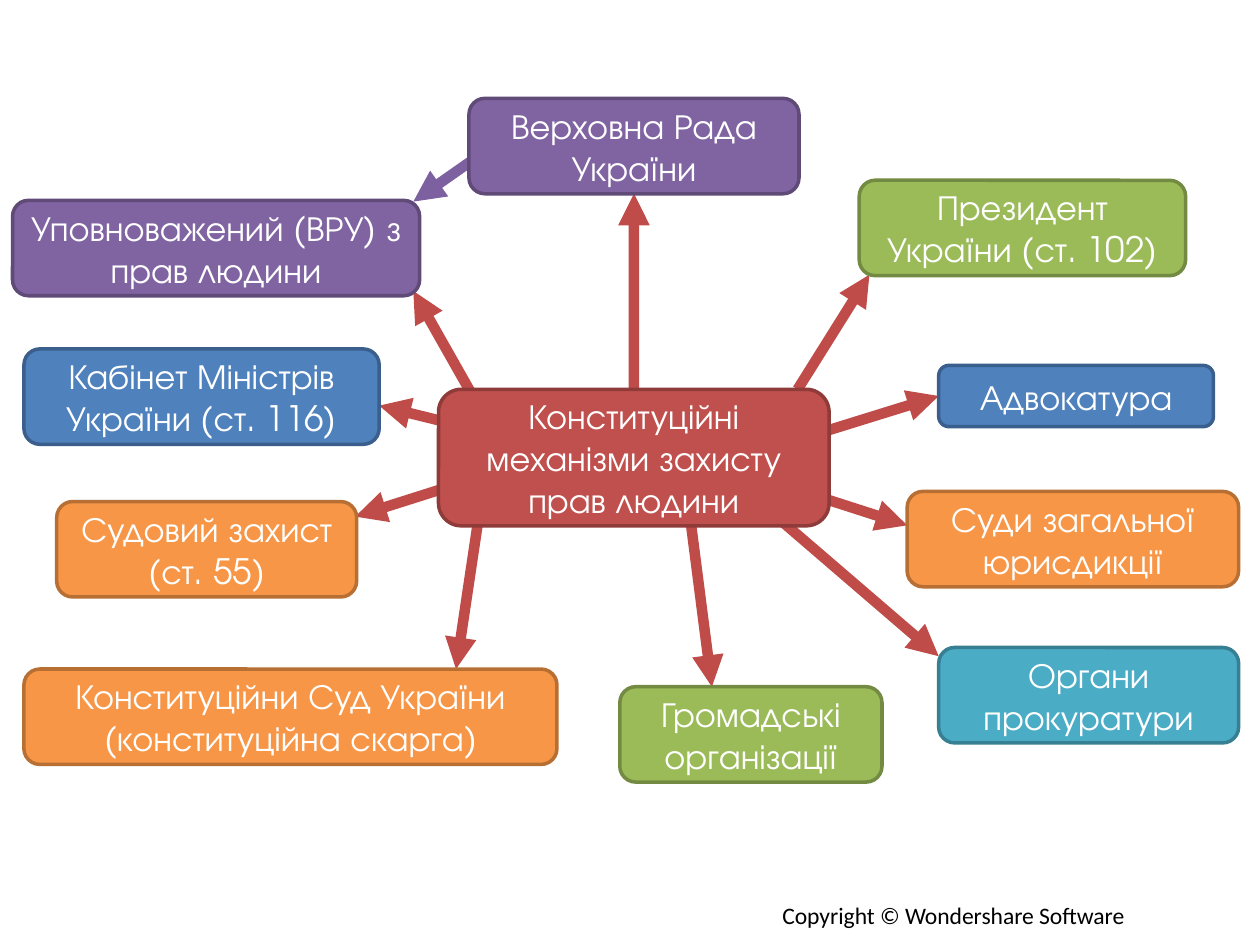
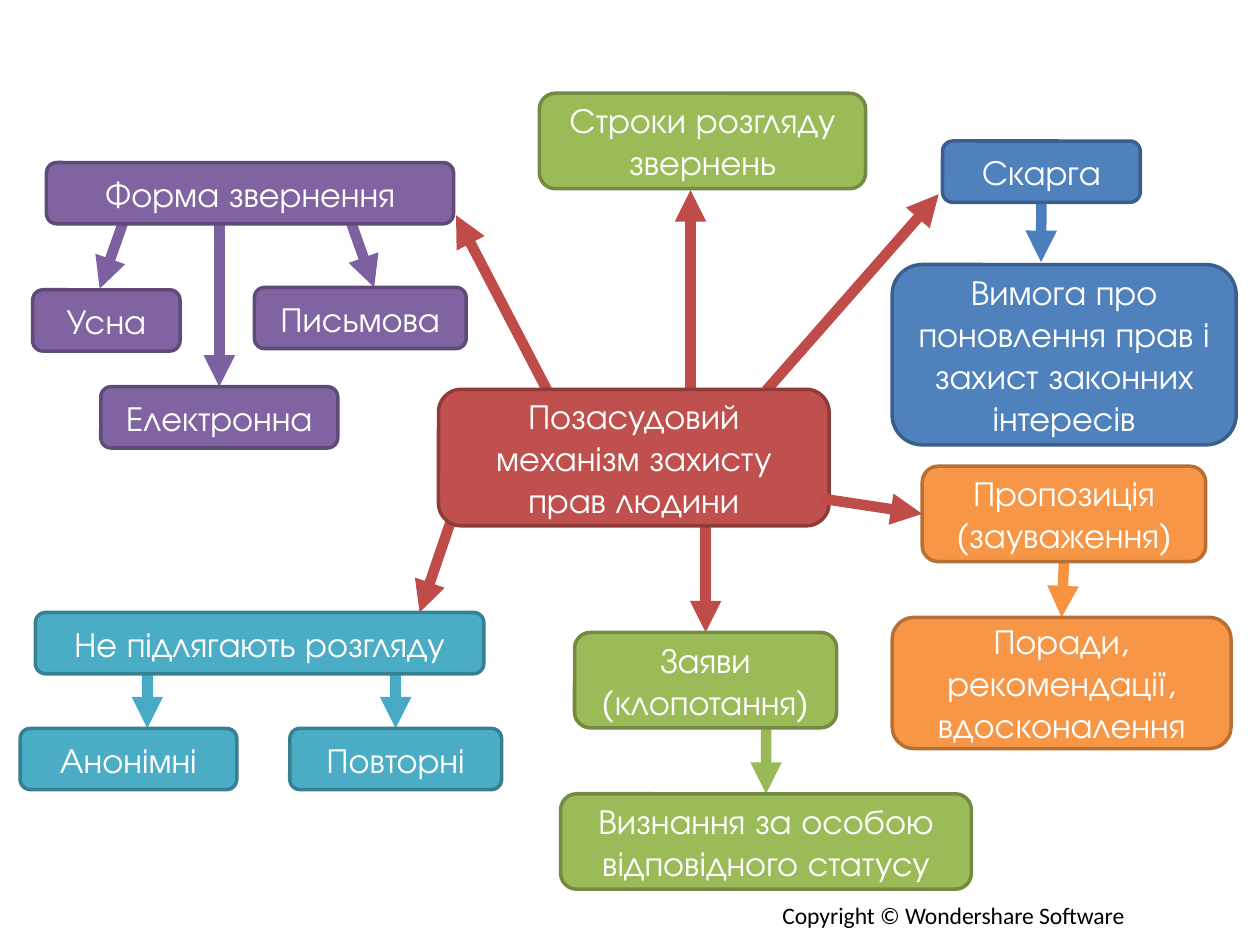
from dataclasses import dataclass

from lxml import etree
from pptx import Presentation
from pptx.dml.color import RGBColor
from pptx.enum.shapes import MSO_CONNECTOR, MSO_SHAPE
from pptx.enum.text import MSO_ANCHOR, PP_ALIGN
from pptx.oxml.ns import qn
from pptx.util import Pt

ROUNDED = MSO_SHAPE.ROUNDED_RECTANGLE
STRAIGHT = MSO_CONNECTOR.STRAIGHT
MIDDLE = MSO_ANCHOR.MIDDLE
CENTER = PP_ALIGN.CENTER
TOP, LEFT, BOTTOM, RIGHT = range(4)
BLANK_LAYOUT = 6


@dataclass(frozen=True)
class Tone:
    fill: str
    border: str
    arrow: str


@dataclass(frozen=True)
class Theme:
    red: Tone = Tone("C0504D", "8E3B39", "BF4C48")
    purple: Tone = Tone("8064A2", "5F4A78", "7D60A0")
    blue: Tone = Tone("4F81BD", "3A5F8C", "4B7EBC")
    green: Tone = Tone("9BBB59", "738A42", "98B955")
    orange: Tone = Tone("F79646", "B76F34", "F69240")
    teal: Tone = Tone("4BACC6", "377F92", "46AAC5")
    node_text: str = "FFFFFF"
    footer_text: str = "000000"
    node_font: str = "TeX Gyre Adventor"
    footer_font: str = "Calibri"
    node_size: float = 20
    footer_size: float = 13.5
    border_width: float = 2
    arrow_width: float = 6


THEME = Theme()
RED, PURPLE, BLUE = THEME.red, THEME.purple, THEME.blue
GREEN, ORANGE, TEAL = THEME.green, THEME.orange, THEME.teal

SLIDE_SIZE = (720, 540)
MAP_AREA = (0, 50, 720, 460)
FOOTER_AREA = (440, 511.2, 213.8, 23.8)
ONE_LINE, TWO_LINES, THREE_LINES, FOUR_LINES = 35, 54.5, 75, 103
HUB_BOX = (250.6, 172.5, 223.2, 78)

MECHANISMS = {
    "rada": ("Верховна Рада України", PURPLE, (268, 6.2, 188.6, TWO_LINES)),
    "ombudsman": ("Уповноважений (ВРУ) з прав людини", PURPLE, (7.2, 64.5, 232.6, TWO_LINES)),
    "advocacy": ("Адвокатура", BLUE, (536.4, 158.8, 157, ONE_LINE)),
    "hub": ("Конституційні механізми захисту прав людини", RED, HUB_BOX),
    "president": ("Президент України (ст. 102)", GREEN, (491, 53, 186.5, TWO_LINES)),
    "courts": ("Суди загальної юрисдикції", ORANGE, (518.4, 230.8, 189.4, TWO_LINES)),
    "prosecutors": ("Органи прокуратури", TEAL, (536.4, 320, 171.4, TWO_LINES)),
    "public": ("Громадські організації", GREEN, (354.2, 342.4, 149.8, TWO_LINES)),
    "judicial": ("Судовий захист (ст. 55)", ORANGE, (32.4, 236.6, 171.4, TWO_LINES)),
    "cabinet": ("Кабінет Міністрів України (ст. 116)", BLUE, (13.7, 149.4, 203, TWO_LINES)),
    "constitutional": ("Конституційни Суд України (конституційна скарга)", ORANGE,
                       (13.7, 332.3, 304.6, TWO_LINES)),
}
MECHANISM_ARROWS = [
    (("hub", TOP), ("rada", BOTTOM), RED),
    ((455.8, 172.5), (496.8, 107), RED),
    ((472.3, 196.2), ("advocacy", LEFT), RED),
    ((465, 233), (518.4, 250.2), RED),
    ((442, 243.8), (536.4, 325), RED),
    ((270, 176), (236.2, 116.3), RED),
    ((260.6, 192.6), (216.7, 181.8), RED),
    ((278, 221.4), (203, 245.2), RED),
    ((273.6, 245.2), (260.6, 332.3), RED),
    ((394.6, 247.4), (406.8, 342.4), RED),
    ((281.5, 33.5), (236.2, 65.2), PURPLE),
]

APPEALS = {
    "form": ("Форма звернення", PURPLE, (26.6, 42.9, 232.6, ONE_LINE)),
    "complaint": ("Скарга", BLUE, (538.6, 30.6, 113, ONE_LINE)),
    "hub": ("Позасудовий механізм захисту прав людини", RED, HUB_BOX),
    "terms": ("Строки розгляду звернень", GREEN, (308.2, 3.3, 186.5, TWO_LINES)),
    "proposal": ("Пропозиція (зауваження)", ORANGE, (527, 216.4, 162, TWO_LINES)),
    "anonymous": ("Анонімні", TEAL, (11.5, 366.2, 123.8, ONE_LINE)),
    "application": ("Заяви (клопотання)", GREEN, (328.3, 311.4, 149.8, TWO_LINES)),
    "advice": ("Поради, рекомендації, вдосконалення", ORANGE, (509.8, 302.8, 193.7, THREE_LINES)),
    "excluded": ("Не підлягають розгляду", TEAL, (20.2, 300, 256.3, ONE_LINE)),
    "oral": ("Усна", PURPLE, (18.7, 115.6, 84.2, ONE_LINE)),
    "electronic": ("Електронна", PURPLE, (57.6, 171, 135.4, ONE_LINE)),
    "written": ("Письмова", PURPLE, (145.4, 114.2, 121, ONE_LINE)),
    "demand": ("Вимога про поновлення прав і захист законних інтересів", BLUE,
               (509.8, 101.2, 196.6, FOUR_LINES)),
    "repeated": ("Повторні", TEAL, (165.6, 366.2, 121, ONE_LINE)),
    "status": ("Визнання за особою відповідного статусу", GREEN, (320.4, 403.6, 234.7, TWO_LINES)),
}
APPEAL_ARROWS = [
    ((316.8, 181), (260.6, 73), RED),
    ((72, 72.4), (57, 115), PURPLE),
    ((125.3, 78), ("electronic", TOP), PURPLE),
    ((198.7, 71.7), (213.8, 114.2), PURPLE),
    ((394.6, 174.6), (394.6, 58.7), RED),
    ((437.8, 173.2), (536.4, 61), RED),
    (("complaint", BOTTOM), (594.9, 99.8), BLUE),
    ((262, 235), (239.8, 300), RED),
    ((403.2, 248), ("application", TOP), RED),
    (("proposal", BOTTOM), ("advice", TOP), ORANGE),
    ((437.8, 362), ("status", TOP), GREEN),
    ((84.2, 328.7), (84.2, 366.2), TEAL),
    ((226.1, 328.7), ("repeated", TOP), TEAL),
]
APPEAL_FRONT_ARROWS = [((470.2, 235), ("proposal", LEFT), RED)]


def apply(target, formats):
    for name, value in formats.items():
        setattr(target, name, value)


def rgb(color):
    return RGBColor.from_string(color)


def write(paragraph, text, font, size, color):
    paragraph.text = text
    apply(paragraph.font, {"name": font, "size": Pt(size)})
    paragraph.font.color.rgb = rgb(color)


def add_node(slide, area, text, tone, box):
    left, top, width, height = box
    node = slide.shapes.add_shape(
        ROUNDED, Pt(area[0] + left), Pt(area[1] + top), Pt(width), Pt(height))
    node.shadow.inherit = False
    node.fill.solid()
    node.fill.fore_color.rgb = rgb(tone.fill)
    node.line.color.rgb = rgb(tone.border)
    node.line.width = Pt(THEME.border_width)
    apply(node.text_frame, {"word_wrap": True, "vertical_anchor": MIDDLE})
    paragraph = node.text_frame.paragraphs[0]
    write(paragraph, text, THEME.node_font, THEME.node_size, THEME.node_text)
    paragraph.alignment = CENTER
    return node


def add_arrow(slide, area, nodes, start, end, tone):
    points = [(0, 0) if isinstance(tip[0], str) else tip for tip in (start, end)]
    ends = [Pt(origin + value) for point in points for origin, value in zip(area, point)]
    arrow = slide.shapes.add_connector(STRAIGHT, *ends)
    for tip, connect in ((start, arrow.begin_connect), (end, arrow.end_connect)):
        if isinstance(tip[0], str):
            connect(nodes[tip[0]], tip[1])
    arrow.line.color.rgb = rgb(tone.arrow)
    arrow.line.width = Pt(THEME.arrow_width)
    properties = arrow._element.spPr
    etree.SubElement(properties.find(qn("a:ln")), qn("a:tailEnd"), type="triangle")
    etree.SubElement(properties, qn("a:effectLst"))
    return arrow


def add_map(slide, area, node_data, back_arrows, front_arrows=()):
    nodes = {key: add_node(slide, area, *data) for key, data in node_data.items()}
    rearmost = next(iter(nodes.values()))._element
    for data in back_arrows:
        rearmost.addprevious(add_arrow(slide, area, nodes, *data)._element)
    for data in front_arrows:
        add_arrow(slide, area, nodes, *data)


def add_footer(slide, area):
    footer = slide.shapes.add_textbox(*map(Pt, area))
    footer.text_frame.word_wrap = False
    write(footer.text_frame.paragraphs[0], "Copyright © Wondershare Software",
          THEME.footer_font, THEME.footer_size, THEME.footer_text)


def main():
    deck = Presentation()
    deck.slide_width, deck.slide_height = map(Pt, SLIDE_SIZE)
    for content in (
        (MECHANISMS, MECHANISM_ARROWS),
        (APPEALS, APPEAL_ARROWS, APPEAL_FRONT_ARROWS),
    ):
        slide = deck.slides.add_slide(deck.slide_layouts[BLANK_LAYOUT])
        add_footer(slide, FOOTER_AREA)
        add_map(slide, MAP_AREA, *content)
    deck.save("out.pptx")


if __name__ == "__main__":
    main()
